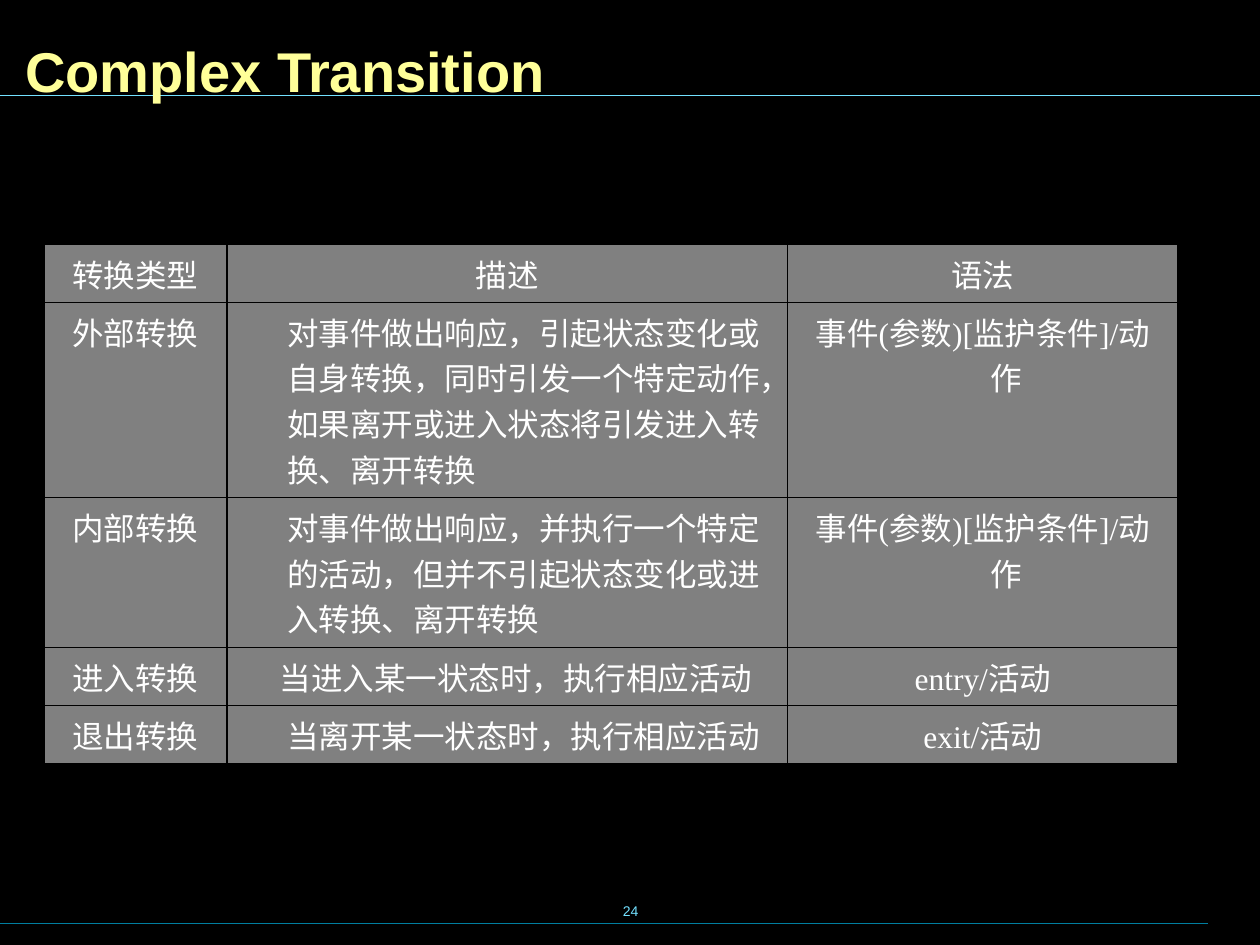
import pptx
import pptx.util
import pptx.dml.color
import pptx.enum.shapes
import pptx.enum.text
import pptx.oxml
import pptx.oxml.ns
import lxml.etree

Inches = pptx.util.Inches
Pt = pptx.util.Pt
ALIGN = pptx.enum.text.PP_ALIGN
ANCHOR = pptx.enum.text.MSO_ANCHOR

COLORS = {
    "background": "000000",
    "title": "FFFF99",
    "accent": "73E1FF",
    "footer": "007E9F",
    "cell": "808080",
    "cell_text": "FFFFFF",
    "border": "000000",
}

COLUMN_WIDTHS = [1.45, 4.45, 3.1]
ROW_HEIGHTS = [0.46, 1.55, 1.19, 0.46, 0.46]
HANGING = 0.38
TRANSITION_SYNTAX = "事件(参数)[监护条件]/动作"
ROWS = [
    ("转换类型", "描述", "语法"),
    ("外部转换",
     "对事件做出响应，引起状态变化或自身转换，同时引发一个特定动作，"
     "如果离开或进入状态将引发进入转换、离开转换",
     TRANSITION_SYNTAX),
    ("内部转换",
     "对事件做出响应，并执行一个特定的活动，但并不引起状态变化或进入转换、离开转换",
     TRANSITION_SYNTAX),
    ("进入转换", "当进入某一状态时，执行相应活动", "entry/活动"),
    ("退出转换", "当离开某一状态时，执行相应活动", "exit/活动"),
]
ENTRY_ROW = 3


def rgb(name):
    return pptx.dml.color.RGBColor.from_string(COLORS[name])


class SlideBuilder:
    def __init__(self, deck):
        self.slide = deck.slides.add_slide(deck.slide_layouts[6])
        fill = self.slide.background.fill
        fill.solid()
        fill.fore_color.rgb = rgb("background")

    def style(self, para, font, size, color, bold=False):
        for span in para.runs:
            span.font.name = font
            span.font.size = Pt(size)
            span.font.bold = bold
            span.font.color.rgb = rgb(color)

    def text(self, words, left, top, width, height, size, color,
             align=ALIGN.LEFT, anchor=ANCHOR.TOP, insets=(0.1, 0.05, 0.1, 0.05),
             spacing=1.0, bold=False, wrap=True):
        box = self.slide.shapes.add_textbox(
            Inches(left), Inches(top), Inches(width), Inches(height))
        frame = box.text_frame
        frame.text = words
        frame.word_wrap = wrap
        frame.vertical_anchor = anchor
        (frame.margin_left, frame.margin_top,
         frame.margin_right, frame.margin_bottom) = map(Inches, insets)
        para = frame.paragraphs[0]
        para.alignment = align
        para.line_spacing = spacing
        self.style(para, "Arial", size, color, bold)

    def rule(self, width, top, color):
        line = self.slide.shapes.add_connector(
            pptx.enum.shapes.MSO_CONNECTOR.STRAIGHT,
            Inches(0), Inches(top), Inches(width), Inches(top))
        line.line.color.rgb = rgb(color)
        line.line.width = Pt(0.75)
        lxml.etree.SubElement(line._element.spPr, pptx.oxml.ns.qn("a:effectLst"))

    def border(self, cell):
        properties = cell._tc.get_or_add_tcPr()
        for position, side in enumerate(("lnL", "lnR", "lnT", "lnB")):
            properties.insert(position, pptx.oxml.parse_xml(
                f'<a:{side} {pptx.oxml.ns.nsdecls("a")} w="{Pt(1)}"><a:solidFill>'
                f'<a:srgbClr val="{COLORS["border"]}"/></a:solidFill></a:{side}>'))

    def cell(self, cell, words, align, indent):
        cell.text = words
        cell.fill.solid()
        cell.fill.fore_color.rgb = rgb("cell")
        self.border(cell)
        para = cell.text_frame.paragraphs[0]
        para.alignment = align
        properties = para._p.get_or_add_pPr()
        properties.set("marL", str(Inches(HANGING)))
        properties.set("indent", str(Inches(indent)))
        self.style(para, "Times New Roman", 18, "cell_text")

    def table(self, rows, left, top):
        table = self.slide.shapes.add_table(
            len(rows), len(COLUMN_WIDTHS), Inches(left), Inches(top),
            Inches(sum(COLUMN_WIDTHS)), Inches(sum(ROW_HEIGHTS))).table
        for column, width in zip(table.columns, COLUMN_WIDTHS):
            column.width = Inches(width)
        for row, height in zip(table.rows, ROW_HEIGHTS):
            row.height = Inches(height)
        for r, row in enumerate(rows):
            for c, words in enumerate(row):
                is_description = r > 0 and c == 1
                if is_description:
                    align = ALIGN.LEFT
                    indent = -0.06 if r == ENTRY_ROW else 0
                else:
                    align, indent = ALIGN.CENTER, -HANGING
                self.cell(table.cell(r, c), words, align, indent)


def main():
    deck = pptx.Presentation()
    deck.slide_width = Inches(10)
    deck.slide_height = Inches(7.5)

    page = SlideBuilder(deck)
    page.text("24", 3.42, 6.98, 3.17, 0.5, 8, "accent",
              align=ALIGN.CENTER, anchor=ANCHOR.MIDDLE, wrap=False)
    page.rule(9.59, 7.33, "footer")
    page.rule(10, 0.76, "accent")
    page.table(ROWS, 0.35, 1.94)
    page.text("Complex Transition", 0.08, 0.02, 9.84, 0.58, 32, "title",
              insets=(0.12, 0.11, 0.12, 0.06), spacing=1.3, bold=True)
    deck.save("out.pptx")


if __name__ == "__main__":
    main()
